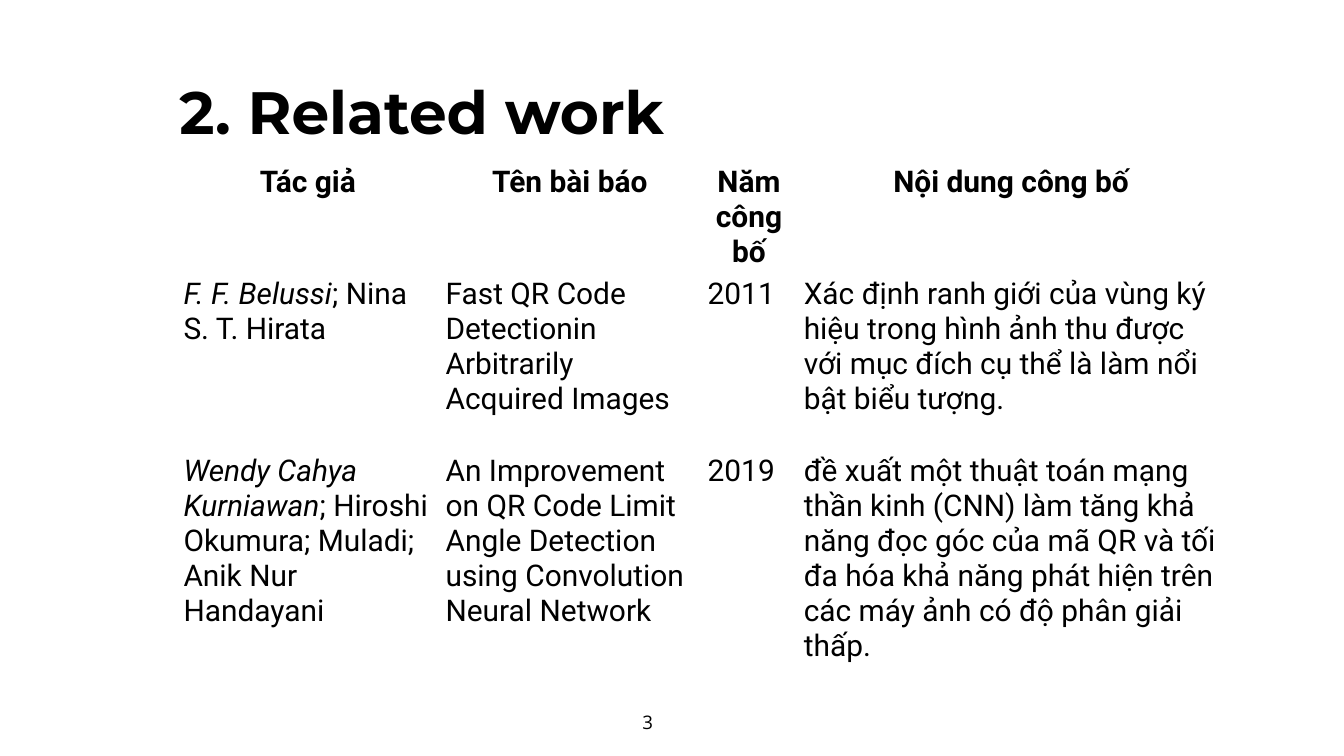
from dataclasses import dataclass

from pptx import Presentation
from pptx.dml.color import RGBColor
from pptx.enum.text import MSO_AUTO_SIZE, PP_ALIGN
from pptx.slide import Slide
from pptx.util import Pt

LEFT = PP_ALIGN.LEFT
CENTER = PP_ALIGN.CENTER
GROW = MSO_AUTO_SIZE.SHAPE_TO_FIT_TEXT

HEX = {"ink": "000000", "page": "FFFFFF"}

TITLE = {"name": "Montserrat", "size": Pt(64), "bold": True}
NUMBER = {"name": "Open Sans", "size": Pt(20), "bold": False}
HEAD = {"name": "Roboto", "size": Pt(32), "bold": True}
BODY = HEAD | {"bold": False}
LEAD = BODY | {"italic": True}

FRAME = {
    "margin_left": 0,
    "margin_top": 0,
    "margin_right": 0,
    "margin_bottom": 0,
    "word_wrap": True,
    "auto_size": GROW,
}
PLAIN = {"first_row": False, "horz_banding": False}


@dataclass
class Box:
    text: str
    left: float
    top: float
    width: float
    height: float
    style: dict
    align: PP_ALIGN
    indent: float = 0


@dataclass
class Paper:
    lead: str
    others: str
    title: str
    year: str
    content: str


BOXES = [
    Box("2. Related work", 137.5, 49, 786, 108.7, TITLE, LEFT, 54.7),
    Box("3", 688.3, 752.4, 11.5, 33.8, NUMBER, CENTER),
]

LABELS = ["Tác giả", "Tên bài báo", "Năm công bố", "Nội dung công bố"]
COLS = [280.8, 280.8, 103, 459]
ROWS = [109.4, 190, 59]

PAPERS = [
    Paper(
        "F. F. Belussi",
        "; Nina S. T. Hirata",
        "Fast QR Code Detectionin Arbitrarily Acquired Images",
        "2011",
        "Xác định ranh giới của vùng ký hiệu trong hình ảnh thu được "
        "với mục đích cụ thể là làm nổi bật biểu tượng.",
    ),
    Paper(
        "Wendy Cahya Kurniawan",
        "; Hiroshi Okumura; Muladi; Anik Nur Handayani",
        "An Improvement on QR Code Limit Angle Detection using "
        "Convolution Neural Network",
        "2019",
        "đề xuất một thuật toán mạng thần kinh (CNN) làm tăng khả năng "
        "đọc góc của mã QR và tối đa hóa khả năng phát hiện trên các máy "
        "ảnh có độ phân giải thấp.",
    ),
]


def apply(target: object, values: dict) -> None:
    for key, value in values.items():
        setattr(target, key, value)


def write(para: object, parts: list, align: PP_ALIGN) -> None:
    para.alignment = align
    for text, style in parts:
        run = para.add_run()
        run.text = text
        apply(run.font, style)
        run.font.color.rgb = RGBColor.from_string(HEX["ink"])


def draw_box(slide: Slide, box: Box) -> None:
    area = [Pt(v) for v in (box.left, box.top, box.width, box.height)]
    frame = slide.shapes.add_textbox(*area).text_frame
    apply(frame, FRAME)
    para = frame.paragraphs[0]
    para.line_spacing = 1.4
    if box.indent:
        para._p.get_or_add_pPr().set("marL", str(Pt(box.indent)))
    write(para, [(box.text, box.style)], box.align)


def draw_table(slide: Slide) -> None:
    grid = [[[(label, HEAD)] for label in LABELS]]
    for paper in PAPERS:
        names = [(paper.lead, LEAD), (paper.others, BODY)]
        rest = [paper.title, paper.year, paper.content]
        grid.append([names] + [[(text, BODY)] for text in rest])

    area = [Pt(v) for v in (189.4, 172.8, sum(COLS), sum(ROWS))]
    table = slide.shapes.add_table(len(ROWS), len(COLS), *area).table
    apply(table, PLAIN)
    for col, width in zip(table.columns, COLS):
        col.width = Pt(width)
    for i, (row, height) in enumerate(zip(table.rows, ROWS)):
        row.height = Pt(height)
        align = LEFT if i else CENTER
        for cell, parts in zip(row.cells, grid[i]):
            cell.fill.background()
            write(cell.text_frame.paragraphs[0], parts, align)


def main() -> None:
    deck = Presentation()
    deck.slide_width = Pt(1440)
    deck.slide_height = Pt(810)
    slide = deck.slides.add_slide(deck.slide_layouts[6])
    fill = slide.background.fill
    fill.solid()
    fill.fore_color.rgb = RGBColor.from_string(HEX["page"])
    draw_table(slide)
    for box in BOXES:
        draw_box(slide, box)
    deck.save("out.pptx")


if __name__ == "__main__":
    main()
